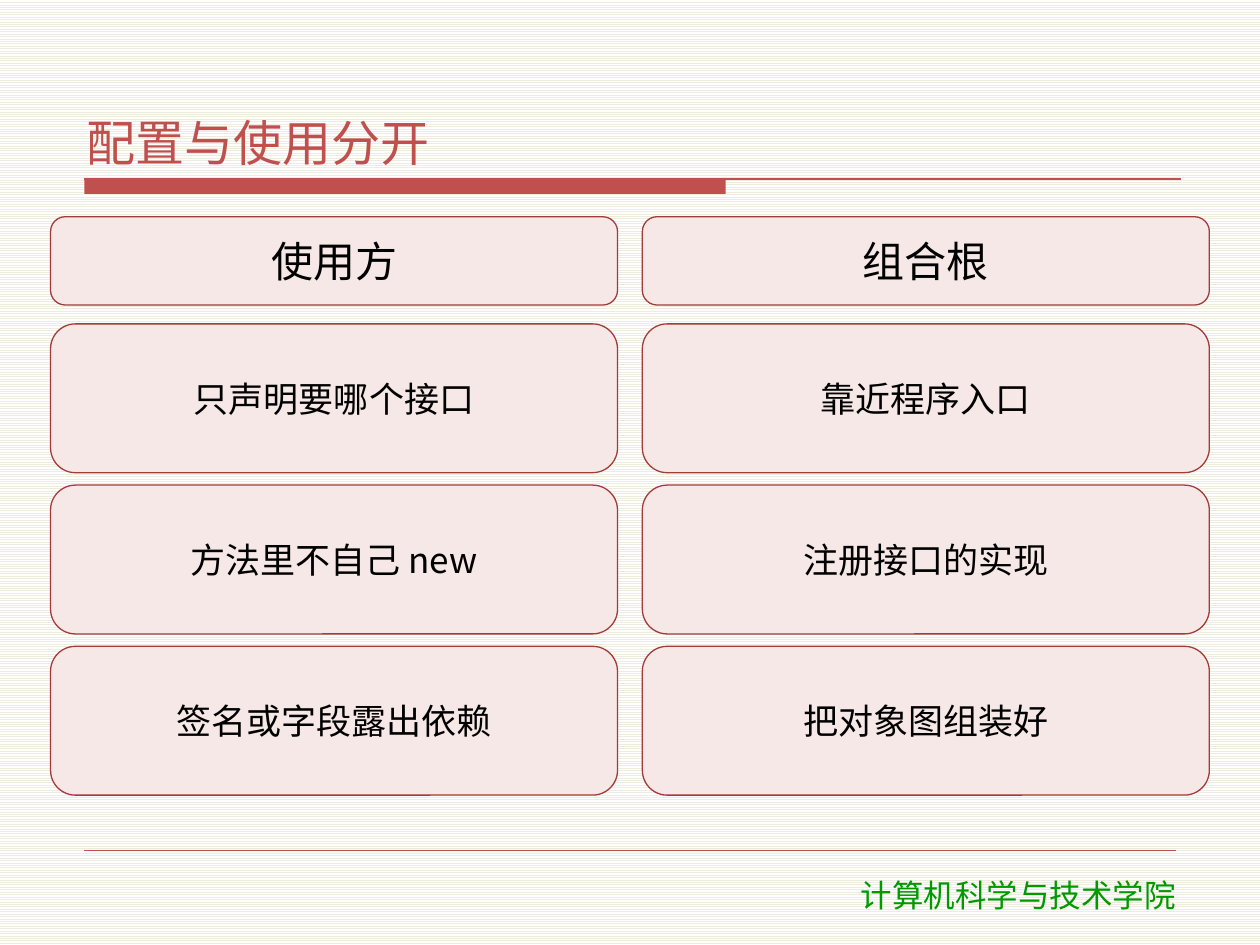
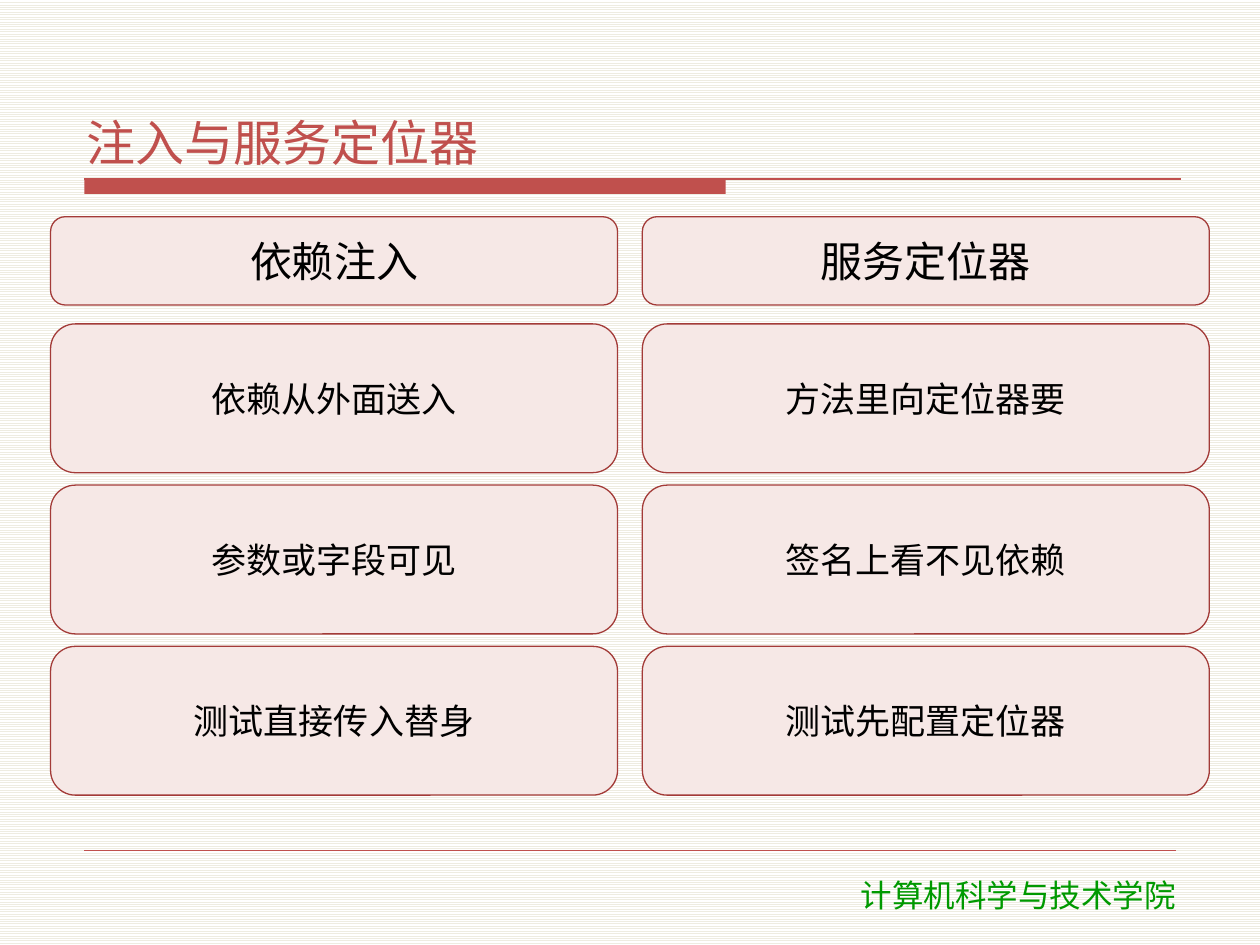
import pptx
import pptx.util
import pptx.dml.color
import pptx.enum.dml
import pptx.enum.shapes
import pptx.enum.text
import pptx.oxml.ns
from lxml import etree

Cm, Pt = pptx.util.Cm, pptx.util.Pt
ALIGN = pptx.enum.text.PP_ALIGN
ANCHOR = pptx.enum.text.MSO_ANCHOR
SHAPE = pptx.enum.shapes.MSO_SHAPE

# Content: each comparison has two columns of (heading, points)
COLLEGE = "计算机科学与技术学院"
COMPARISONS = [
    ("配置与使用分开", [
        ("使用方", ["只声明要哪个接口", "方法里不自己 new", "签名或字段露出依赖"]),
        ("组合根", ["靠近程序入口", "注册接口的实现", "把对象图组装好"]),
    ]),
    ("注入与服务定位器", [
        ("依赖注入", ["依赖从外面送入", "参数或字段可见", "测试直接传入替身"]),
        ("服务定位器", ["方法里向定位器要", "签名上看不见依赖", "测试先配置定位器"]),
    ]),
]

# Style
COLORS = {
    "accent": "C0504D", "card": "F6E8E6", "card_edge": "A33B38",
    "text": "000000", "college": "009900",
    "stripe": "EEECE1", "paper": "FFFFFF",
}
MAIN_FONT, COLLEGE_FONT = "Noto Sans CJK SC", "DejaVu Sans"

# Layout in centimetres
PAGE_W, PAGE_H = 25.4, 19.05
RULE_LEFT, RULE_TOP = 1.7, 3.61
MARGIN, COLUMN_GAP = 1.02, 0.5
CARD_W = (PAGE_W - 2 * MARGIN - COLUMN_GAP) / 2
HEADING_TOP, HEADING_H = 4.37, 1.78
POINT_TOP, POINT_H, POINT_GAP = 6.53, 3.0, 0.25


def color(name):
    return pptx.dml.color.RGBColor.from_string(COLORS[name])


def write(shape, text, size, ink="text", font=MAIN_FONT, align=ALIGN.CENTER,
          anchor=ANCHOR.MIDDLE, insets=(0.15, 0.05), after=2):
    frame = shape.text_frame
    frame.word_wrap = True
    frame.vertical_anchor = anchor
    frame.margin_left = frame.margin_right = Cm(insets[0])
    frame.margin_top = frame.margin_bottom = Cm(insets[1])
    paragraph = frame.paragraphs[0]
    paragraph.alignment = align
    paragraph.space_after = Pt(after)
    run = paragraph.add_run()
    run.text = text
    run.font.size = Pt(size)
    run.font.name = font
    run.font.color.rgb = color(ink)
    # Chinese characters take their typeface from a:ea
    east_asian = etree.SubElement(run.font._element, pptx.oxml.ns.qn("a:ea"))
    east_asian.set("typeface", font)


def add_rule(slide, top, right, width):
    rule = slide.shapes.add_connector(
        pptx.enum.shapes.MSO_CONNECTOR.STRAIGHT,
        Cm(RULE_LEFT), Cm(top), Cm(right), Cm(top))
    rule.line.color.rgb = color("accent")
    rule.line.width = Pt(width)
    etree.SubElement(rule._element.spPr, pptx.oxml.ns.qn("a:effectLst"))


def add_block(slide, kind, left, top, width, height, fill, edge=None):
    block = slide.shapes.add_shape(kind, Cm(left), Cm(top), Cm(width), Cm(height))
    block.shadow.inherit = False
    block.fill.solid()
    block.fill.fore_color.rgb = color(fill)
    if edge:
        block.line.color.rgb = color(edge)
        block.line.width = Pt(0.75)
    else:
        block.line.fill.background()
    return block


def add_card(slide, column, top, height, text, size):
    left = MARGIN + column * (CARD_W + COLUMN_GAP)
    card = add_block(slide, SHAPE.ROUNDED_RECTANGLE, left, top, CARD_W, height,
                     "card", "card_edge")
    write(card, text, size)


def add_frame(slide, title):
    # Striped background
    paper = slide.background.fill
    paper.patterned()
    paper.pattern = pptx.enum.dml.MSO_PATTERN.LIGHT_HORIZONTAL
    paper.fore_color.rgb = color("stripe")
    paper.back_color.rgb = color("paper")
    # Title band and rules
    add_block(slide, SHAPE.RECTANGLE, RULE_LEFT, RULE_TOP, 12.93, 0.3, "accent")
    add_rule(slide, RULE_TOP, 23.8, 0.75)
    add_rule(slide, 17.15, 23.7, 0.25)
    # Footer and title
    footer = slide.shapes.add_textbox(Cm(15.42), Cm(17.53), Cm(10.21), Cm(1.02))
    write(footer, COLLEGE, 18, ink="college", font=COLLEGE_FONT,
          anchor=ANCHOR.TOP, insets=(0.25, 0.13), after=0)
    heading = slide.shapes.add_textbox(Cm(1.6), Cm(0.84), Cm(22.23), Cm(2.67))
    write(heading, title, 28, ink="accent", align=ALIGN.LEFT, anchor=ANCHOR.BOTTOM)


def main():
    deck = pptx.Presentation()
    deck.slide_width, deck.slide_height = Cm(PAGE_W), Cm(PAGE_H)
    for title, columns in COMPARISONS:
        slide = deck.slides.add_slide(deck.slide_layouts[6])
        add_frame(slide, title)
        for column, (heading, points) in enumerate(columns):
            add_card(slide, column, HEADING_TOP, HEADING_H, heading, 24)
            for row, point in enumerate(points):
                top = POINT_TOP + row * (POINT_H + POINT_GAP)
                add_card(slide, column, top, POINT_H, point, 20)
    deck.save("out.pptx")


if __name__ == "__main__":
    main()
